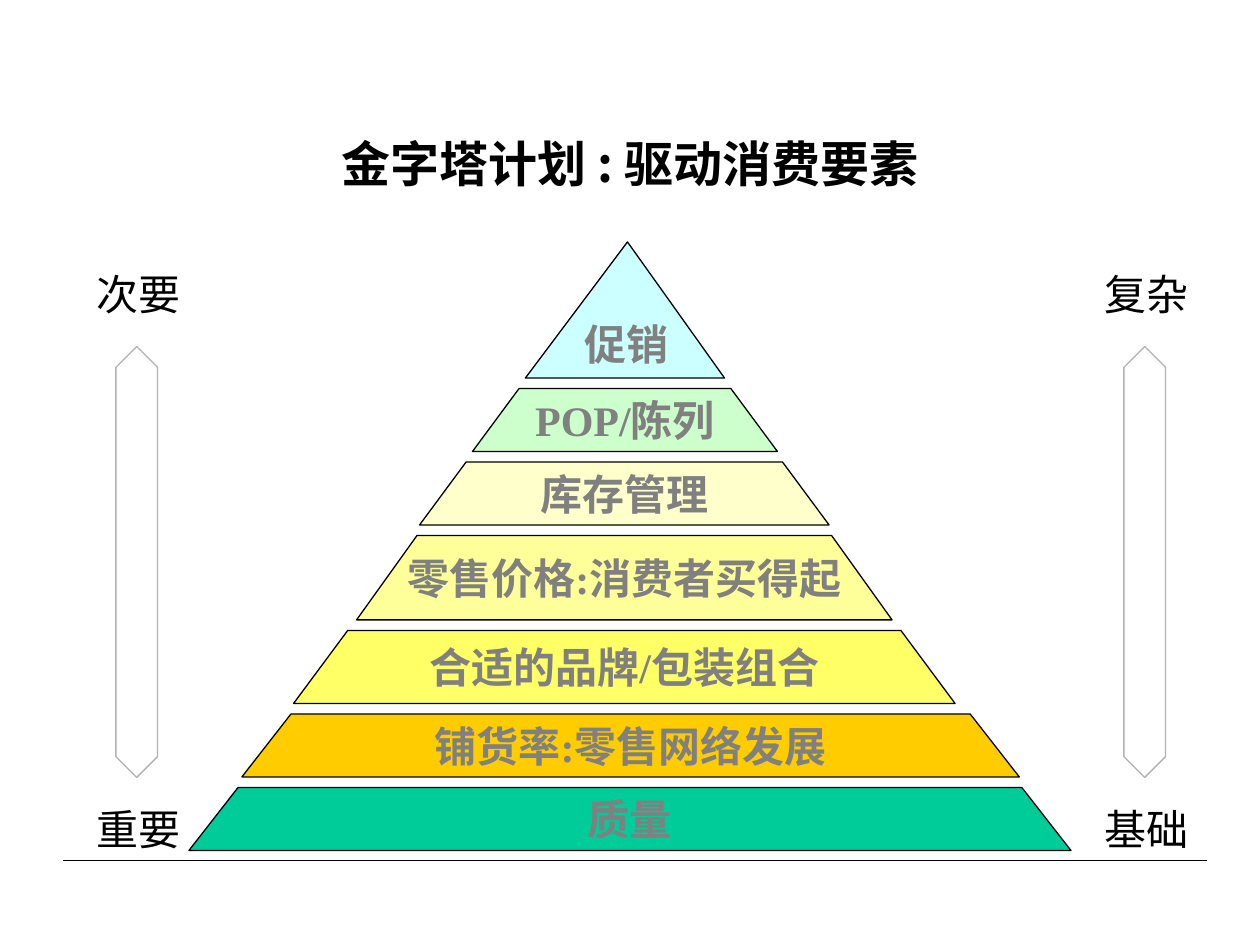
from typing import NamedTuple

from lxml.etree import SubElement
from pptx import Presentation
from pptx.dml.color import RGBColor
from pptx.enum.shapes import MSO_CONNECTOR as Connector, MSO_SHAPE as Preset
from pptx.enum.text import MSO_ANCHOR as Anchor, PP_ALIGN as Align
from pptx.oxml.ns import qn
from pptx.util import Inches, Pt

BLACK = RGBColor(0x00, 0x00, 0x00)
GRAY = RGBColor(0x80, 0x80, 0x80)
SILVER = RGBColor(0xB2, 0xB2, 0xB2)
GREEN = RGBColor(0x00, 0xCC, 0x99)
ORANGE = RGBColor(0xFF, 0xCC, 0x00)
YELLOW = RGBColor(0xFF, 0xFF, 0x66)
LIGHT_YELLOW = RGBColor(0xFF, 0xFF, 0x99)
CREAM = RGBColor(0xFF, 0xFF, 0xCC)
MINT = RGBColor(0xCC, 0xFF, 0xCC)
ICE = RGBColor(0xCC, 0xFF, 0xFF)

BODY_FONT = "Times New Roman"
TITLE_FONT = "Noto Sans CJK SC"
PYRAMID_BASE = 6.75
TIER_GAP = 1 / 12
ARROW_INSET = 0.25


class Tier(NamedTuple):
    text: str
    left: float
    width: float
    height: float
    inset: float  # how far each top corner sits inside the base
    color: RGBColor


class Scale(NamedTuple):
    left: float
    upper: str
    lower: str


# Tiers from the base upwards
TIERS = [
    Tier("质量", 1.5, 7, 0.5, 0.39, GREEN),
    Tier("铺货率:零售网络发展", 1.92, 6.17, 0.5, 0.39, ORANGE),
    Tier("合适的品牌/包装组合", 2.33, 5.25, 0.58, 0.43, YELLOW),
    Tier("零售价格:消费者买得起", 2.83, 4.25, 0.67, 0.48, LIGHT_YELLOW),
    Tier("库存管理", 3.33, 3.25, 0.5, 0.37, CREAM),
    Tier("POP/陈列", 3.75, 2.42, 0.5, 0.37, MINT),
]
PEAK = Tier("促销", 4.17, 1.58, 1.08, 0.81, ICE)
SCALES = [Scale(0.67, "次要", "重要"), Scale(8.67, "复杂", "基础")]


def write(frame, text: str, size: float, color: RGBColor, font: str = BODY_FONT,
          bold: bool = False, align: Align = Align.LEFT) -> None:
    paragraph = frame.paragraphs[0]
    paragraph.text = text
    paragraph.alignment = align
    paragraph.font.size = Pt(size)
    paragraph.font.name = font
    paragraph.font.bold = bold
    paragraph.font.color.rgb = color


def finish_tier(shape, tier: Tier) -> None:
    shape.shadow.inherit = False
    shape.fill.solid()
    shape.fill.fore_color.rgb = tier.color
    shape.line.color.rgb = BLACK
    shape.line.width = Pt(0.75)
    frame = shape.text_frame
    frame.word_wrap = False
    frame.vertical_anchor = Anchor.MIDDLE
    write(frame, tier.text, 24, GRAY, bold=True, align=Align.CENTER)


def add_tier(slide, tier: Tier, bottom: float) -> None:
    right, top = tier.left + tier.width, bottom - tier.height
    corners = [(right, bottom), (right - tier.inset, top), (tier.left + tier.inset, top)]
    outline = slide.shapes.build_freeform(Inches(tier.left), Inches(bottom))
    outline.add_line_segments([(Inches(x), Inches(y)) for x, y in corners], close=True)
    finish_tier(outline.convert_to_shape(), tier)


def add_peak(slide, peak: Tier, bottom: float) -> None:
    triangle = slide.shapes.add_shape(
        Preset.ISOSCELES_TRIANGLE, Inches(peak.left), Inches(bottom - peak.height),
        Inches(peak.width), Inches(peak.height))
    triangle.adjustments[0] = peak.inset / peak.width
    finish_tier(triangle, peak)


def add_label(slide, text: str, left: float, top: float) -> None:
    label = slide.shapes.add_textbox(Inches(left), Inches(top), Inches(1.42), Inches(0.5))
    label.text_frame.word_wrap = True
    write(label.text_frame, text, 24, BLACK)


def add_scale(slide, scale: Scale) -> None:
    add_label(slide, scale.upper, scale.left, 2.08)
    add_label(slide, scale.lower, scale.left, 6.33)
    arrow = slide.shapes.add_shape(
        Preset.UP_DOWN_ARROW, Inches(scale.left + ARROW_INSET), Inches(2.75),
        Inches(0.33), Inches(3.42))
    arrow.adjustments[0] = 0.5
    arrow.adjustments[1] = 2.04
    arrow.shadow.inherit = False
    arrow.fill.background()
    arrow.line.color.rgb = SILVER
    arrow.line.width = Pt(0.75)


def add_ground_line(slide) -> None:
    ground = slide.shapes.add_connector(
        Connector.STRAIGHT, Inches(0.5), Inches(6.83), Inches(9.58), Inches(6.83))
    ground.line.color.rgb = BLACK
    ground.line.width = Pt(0.75)
    SubElement(ground._element.spPr, qn("a:effectLst"))


def add_title(slide) -> None:
    title = slide.shapes.add_textbox(Inches(0.75), Inches(0.99), Inches(8.5), Inches(0.61))
    title.text_frame.word_wrap = True
    title.text_frame.vertical_anchor = Anchor.MIDDLE
    write(title.text_frame, "金字塔计划 : 驱动消费要素", 28, BLACK,
          TITLE_FONT, bold=True, align=Align.CENTER)


def main() -> None:
    deck = Presentation()
    deck.slide_width, deck.slide_height = Inches(10), Inches(7.5)
    slide = deck.slides.add_slide(deck.slide_layouts[6])

    add_ground_line(slide)

    # Pyramid, stacked upwards with equal gaps
    bottom = PYRAMID_BASE
    for tier in TIERS:
        add_tier(slide, tier, bottom)
        bottom -= tier.height + TIER_GAP
    add_peak(slide, PEAK, bottom)

    # Scales on both sides
    for scale in SCALES:
        add_scale(slide, scale)

    add_title(slide)
    deck.save("out.pptx")


if __name__ == "__main__":
    main()
